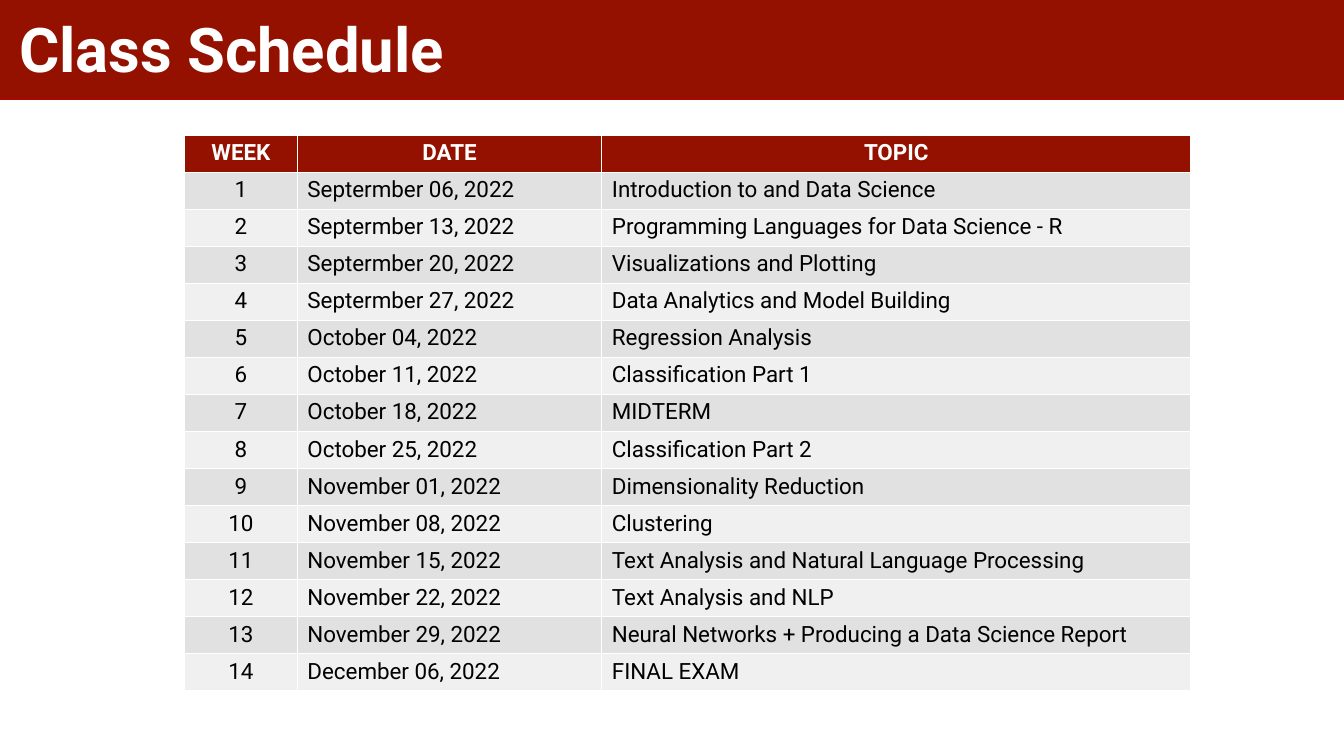
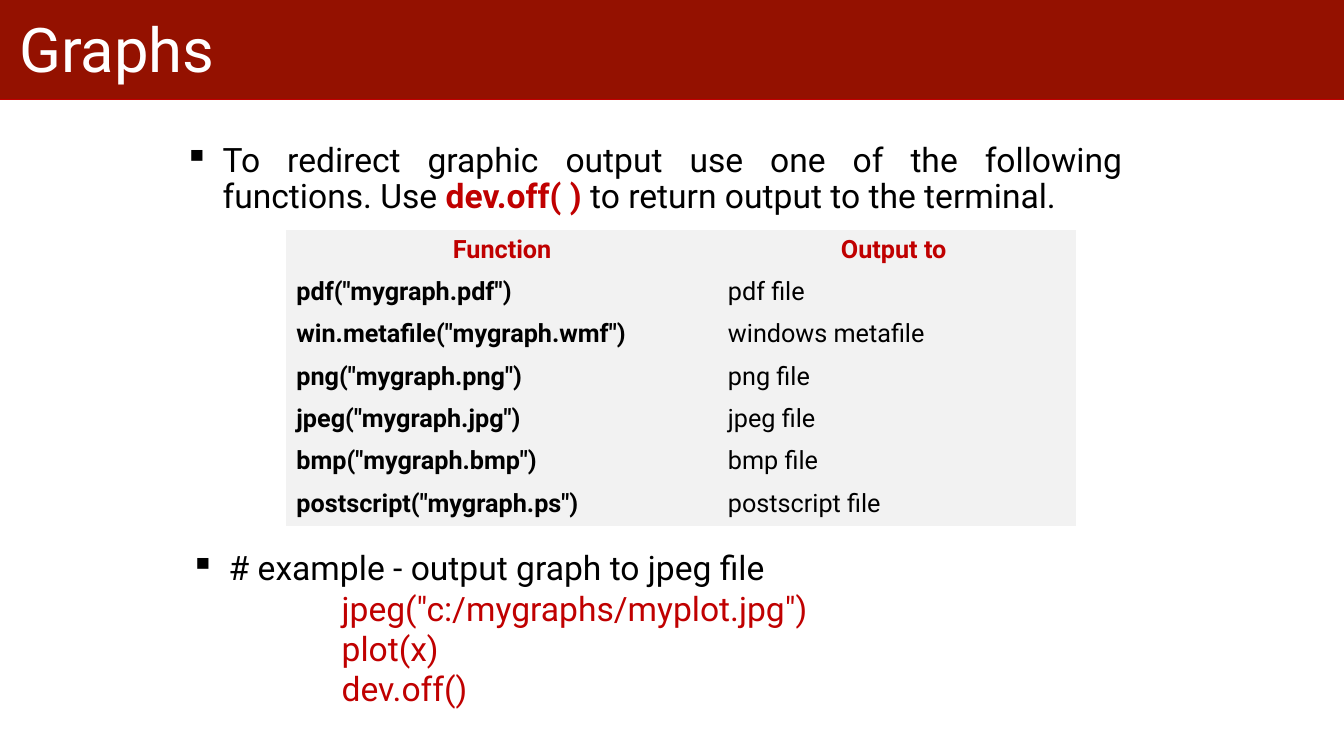
from lxml.etree import SubElement
from pptx import Presentation
from pptx.dml.color import RGBColor
from pptx.enum.shapes import MSO_SHAPE
from pptx.enum.text import MSO_ANCHOR, PP_ALIGN
from pptx.oxml.ns import qn
from pptx.util import Inches, Pt

FONT = "Roboto"
MAROON = RGBColor(0x94, 0x11, 0x00)
RED = RGBColor(0xC0, 0x00, 0x00)
WHITE = RGBColor(0xFF, 0xFF, 0xFF)
BLACK = RGBColor(0x00, 0x00, 0x00)
DARK = RGBColor(0xE1, 0xE1, 0xE1)
LIGHT = RGBColor(0xF0, 0xF0, 0xF0)
PALE = RGBColor(0xF2, 0xF2, 0xF2)
NO_GRID = "{2D5ABB26-0587-4C30-8999-92F81FD0307C}"


def set_font(font, size, color, bold=False):
    font.name = FONT
    font.size = Pt(size)
    font.color.rgb = color
    font.bold = bold


def add_grid(slide, box, widths, rows, size, head, fills, bold_col=None, mid_col=None):
    """Add a table; head is (text, fill) of the top row, fills alternate below it."""
    frame = slide.shapes.add_table(len(rows), len(widths), *map(Inches, box))
    table = frame.table
    for col, width in zip(table.columns, widths):
        col.width = Inches(width)
    for r, row in enumerate(rows):
        for c, text in enumerate(row):
            cell = table.cell(r, c)
            cell.fill.solid()
            cell.fill.fore_color.rgb = fills[(r - 1) % len(fills)] if r else head[1]
            par = cell.text_frame.paragraphs[0]
            par.text = text
            centred = r == 0 or c == mid_col
            par.alignment = PP_ALIGN.CENTER if centred else PP_ALIGN.LEFT
            color = BLACK if r else head[0]
            set_font(par.runs[0].font, size, color, r == 0 or c == bold_col)
    return table


prs = Presentation()
prs.slide_width, prs.slide_height = Inches(13.33), Inches(7.5)

# Red band and title on each slide
slides = []
for name, bold in [("Class Schedule", True), ("Graphs", False)]:
    slide = prs.slides.add_slide(prs.slide_layouts[5])
    title = slide.shapes.title
    band = slide.shapes.add_shape(
        MSO_SHAPE.RECTANGLE, Inches(-0.01), Inches(-0.03), Inches(13.35), Inches(1.02))
    band.shadow.inherit = False
    band.fill.solid()
    band.fill.fore_color.rgb = MAROON
    band.line.color.rgb = RED
    band.line.width = Pt(1)
    title._element.addprevious(band._element)

    title.left, title.top = Inches(0.09), Inches(0.06)
    title.width, title.height = Inches(7.63), Inches(0.84)
    title.text_frame.text = name
    title.text_frame.vertical_anchor = MSO_ANCHOR.TOP
    par = title.text_frame.paragraphs[0]
    par.alignment = PP_ALIGN.LEFT
    set_font(par.runs[0].font, 44, WHITE, bold)
    slides.append(slide)
plan, graphs = slides

# Class schedule
classes = [
    ("Septermber 06, 2022", "Introduction to and Data Science"),
    ("Septermber 13, 2022", "Programming Languages for Data Science - R"),
    ("Septermber 20, 2022", "Visualizations and Plotting"),
    ("Septermber 27, 2022", "Data Analytics and Model Building"),
    ("October 04, 2022", "Regression Analysis"),
    ("October 11, 2022", "Classification Part 1"),
    ("October 18, 2022", "MIDTERM"),
    ("October 25, 2022", "Classification Part 2"),
    ("November 01, 2022", "Dimensionality Reduction"),
    ("November 08, 2022", "Clustering"),
    ("November 15, 2022", "Text Analysis and Natural Language Processing"),
    ("November 22, 2022", "Text Analysis and NLP"),
    ("November 29, 2022", "Neural Networks + Producing a Data Science Report"),
    ("December 06, 2022", "FINAL EXAM"),
]
weeks = [(str(n), day, topic) for n, (day, topic) in enumerate(classes, 1)]
add_grid(plan, (1.83, 1.34, 9.98, 5.51), (1.12, 3.02, 5.84),
         [("WEEK", "DATE", "TOPIC")] + weeks, 16, (WHITE, MAROON), (DARK, LIGHT),
         mid_col=0)

# Graph output: each note is a box, alignment, line spacing and paragraphs;
# a paragraph is a left margin, a bullet flag and its runs
notes = [
    ((1.23, 1.37, 10, 5.34), PP_ALIGN.JUSTIFY, 0.9, [
        (0.88, True, [
            ("To redirect graphic output use one of the following functions. Use ", BLACK, False),
            ("dev.off( ) ", RED, True),
            ("to return output to the terminal. ", BLACK, False)]),
    ]),
    ((1.29, 5.38, 9.89, 1.72), PP_ALIGN.LEFT, 1.0, [
        (0.88, True, [("# example - output graph to jpeg file", BLACK, False)]),
        (2, False, [('jpeg("c:/mygraphs/myplot.jpg")', RED, False)]),
        (2, False, [("plot(x)", RED, False)]),
        (2, False, [("dev.off()", RED, False)]),
    ]),
]
for box, align, spacing, lines in notes:
    text = graphs.shapes.add_textbox(*map(Inches, box)).text_frame
    text.word_wrap = True
    for i, (margin, bullet, runs) in enumerate(lines):
        par = text.add_paragraph() if i else text.paragraphs[0]
        props = par._p.get_or_add_pPr()
        props.set("marL", str(Inches(margin)))
        if bullet:
            props.set("indent", str(Inches(-0.38)))
            SubElement(props, qn("a:buChar")).set("char", "▪")
        par.alignment = align
        par.line_spacing = spacing
        for words, color, bold in runs:
            run = par.add_run()
            run.text = words
            set_font(run.font, 24, color, bold)

outputs = [
    ("Function", "Output to "),
    ('pdf("mygraph.pdf")', "pdf file"),
    ('win.metafile("mygraph.wmf")', "windows metafile"),
    ('png("mygraph.png")', "png file"),
    ('jpeg("mygraph.jpg")', "jpeg file"),
    ('bmp("mygraph.bmp")', "bmp file"),
    ('postscript("mygraph.ps")', "postscript file"),
]
table = add_grid(graphs, (2.84, 2.28, 7.83, 2.94), (4.28, 3.55), outputs, 18,
                 (RED, PALE), (PALE,), bold_col=0)
table._tbl.tblPr.find(qn("a:tableStyleId")).text = NO_GRID

prs.save("out.pptx")
